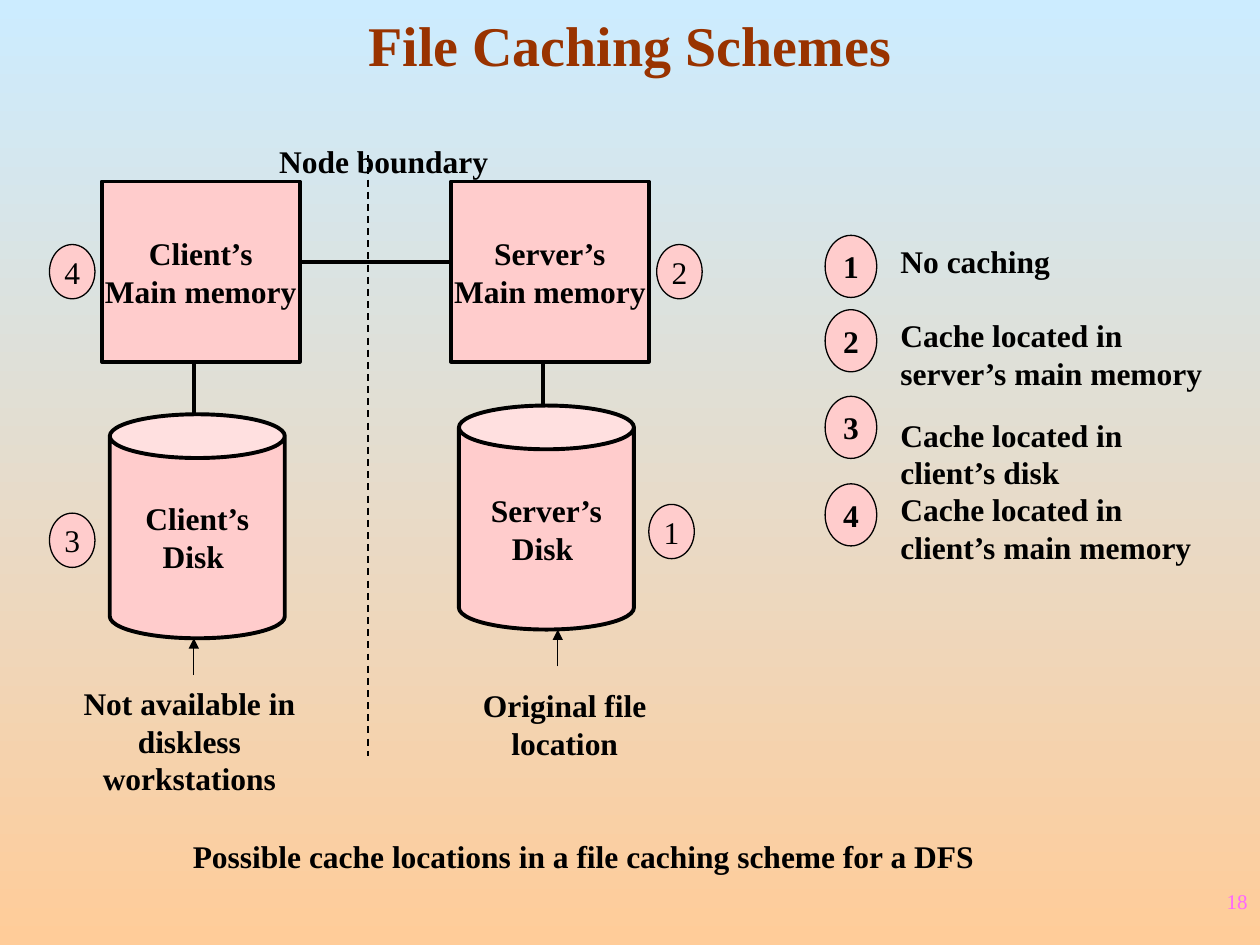
from dataclasses import dataclass

from lxml import etree
from pptx import Presentation
from pptx.dml.color import RGBColor
from pptx.enum import dml, shapes, text
from pptx.oxml import ns
from pptx.util import Pt


@dataclass(frozen=True)
class Theme:
    """Colours, type sizes and line widths of the slide."""
    font: str = "Times New Roman"
    sky: str = "CCECFF"
    sand: str = "FFCC99"
    title: str = "993300"
    number: str = "FF66FF"
    ink: str = "000000"
    pink: str = "FFCCCC"
    title_size: int = 32
    body_size: int = 18
    number_size: int = 12
    thick: float = 2.25
    medium: float = 1
    thin: float = 0.75


@dataclass(frozen=True)
class Node:
    """Labels and offsets of one computer, measured from its box."""
    owner: str
    disk_top: float
    arrow_x: float
    memory_badge: tuple
    disk_badge: tuple
    caption: str
    caption_box: tuple


THEME = Theme()
ALIGN = text.PP_ALIGN
CLIENT = Node("Client’s", 133, 52.5, ("4", -30), ("3", -30),
              "Not available in diskless workstations", (-34.5, 283.5, 169, 72))
SERVER = Node("Server’s", 128, 61, ("2", 117.5), ("1", 113),
              "Original file location", (-4.5, 285, 139, 50))
LEGEND = [("No caching", 0, 0), ("Cache located in server’s main memory", 42.5, 42.5),
          ("Cache located in client’s disk", 92, 99.5),
          ("Cache located in client’s main memory", 142, 142)]


def write(text_frame, words, size=THEME.body_size, color=THEME.ink, bold=True,
          align=ALIGN.CENTER):
    """Fill a text frame and format every run."""
    text_frame.text = words
    for paragraph in text_frame.paragraphs:
        paragraph.alignment = align
        for run in paragraph.runs:
            run.font.name = THEME.font
            run.font.size = Pt(size)
            run.font.bold = bold
            run.font.color.rgb = RGBColor.from_string(color)


def add_label(slide, box, words, **style):
    """Add a wrapping text box."""
    label = slide.shapes.add_textbox(*map(Pt, box))
    label.text_frame.word_wrap = True
    write(label.text_frame, words, **style)


def add_block(slide, kind, box, words, width, bold=True):
    """Add a pink outlined shape with centred text."""
    shape = slide.shapes.add_shape(kind, *map(Pt, box))
    shape.shadow.inherit = False
    shape.fill.solid()
    shape.fill.fore_color.rgb = RGBColor.from_string(THEME.pink)
    shape.line.color.rgb = RGBColor.from_string(THEME.ink)
    shape.line.width = Pt(width)
    shape.text_frame.word_wrap = False
    shape.text_frame.vertical_anchor = text.MSO_ANCHOR.MIDDLE
    write(shape.text_frame, words, bold=bold)


def add_line(slide, start, end, width, dashed=False, arrow=False):
    """Add a straight line, dashed or with an arrowhead at its end."""
    line = slide.shapes.add_connector(shapes.MSO_CONNECTOR.STRAIGHT, *map(Pt, start + end))
    line.line.color.rgb = RGBColor.from_string(THEME.ink)
    line.line.width = Pt(width)
    if dashed:
        line.line.dash_style = dml.MSO_LINE.DASH
    if arrow:
        outline = line.line._get_or_add_ln()
        etree.SubElement(outline, ns.qn("a:tailEnd"), type="triangle")
    etree.SubElement(line._element.spPr, ns.qn("a:effectLst"))


def draw_background(slide):
    """Fill the slide with the vertical gradient."""
    fill = slide.background.fill
    fill.gradient()
    fill.gradient_angle = 270
    for stop, color in zip(fill.gradient_stops, (THEME.sky, THEME.sand)):
        stop.color.rgb = RGBColor.from_string(color)


def draw_title(slide, box):
    """Move and format the title placeholder."""
    title = slide.shapes.title
    title.left, title.top, title.width, title.height = map(Pt, box)
    title.text_frame.vertical_anchor = text.MSO_ANCHOR.BOTTOM
    write(title.text_frame, "File Caching Schemes", THEME.title_size, THEME.title)


def draw_node(slide, box, node):
    """Draw one computer's memory, disk, badges and caption."""
    left, top, width, height = box
    disk_top, disk_height = top + node.disk_top, 128
    disk_bottom = disk_top + disk_height
    add_block(slide, shapes.MSO_SHAPE.RECTANGLE, box,
              f"{node.owner}\nMain memory", THEME.thick)
    add_block(slide, shapes.MSO_SHAPE.CAN, (left + 4.5, disk_top, 100, disk_height),
              f"{node.owner}\nDisk ", THEME.thick)
    link_x, arrow_x = left + 52.5, left + node.arrow_x
    add_line(slide, (link_x, top + height), (link_x, disk_top), THEME.thick)
    add_line(slide, (arrow_x, disk_bottom + 21), (arrow_x, disk_bottom),
             THEME.thin, arrow=True)
    badges = ((node.memory_badge, top + 36), (node.disk_badge, disk_top + 56.5))
    for (number, offset), badge_top in badges:
        add_block(slide, shapes.MSO_SHAPE.OVAL, (left + offset, badge_top, 26, 31),
                  number, THEME.thin, bold=False)
    x, y, caption_width, caption_height = node.caption_box
    add_label(slide, (left + x, top + y, caption_width, caption_height), node.caption)


def draw_diagram(slide, box):
    """Draw both nodes, the link between them and the node boundary."""
    left, top, width, height = box
    node_width, node_height, node_top = 113, 103, top + 26
    server_left = left + width - node_width
    draw_node(slide, (left, node_top, node_width, node_height), CLIENT)
    draw_node(slide, (server_left, node_top, node_width, node_height), SERVER)
    link_y, boundary_x = node_top + 46, left + 152
    add_line(slide, (left + node_width, link_y), (server_left, link_y), THEME.thick)
    add_line(slide, (boundary_x, top + 11), (boundary_x, top + height),
             THEME.medium, dashed=True)
    add_label(slide, (left + 91.5, top, 139, 29), "Node boundary")


def draw_legend(slide, box):
    """List the numbered cache locations."""
    left, top, width, height = box
    for number, (words, badge_y, words_y) in enumerate(LEGEND, 1):
        add_block(slide, shapes.MSO_SHAPE.OVAL, (left, top + badge_y, 29.5, 35.5),
                  str(number), THEME.thin)
        add_label(slide, (left + 36, top + words_y, width - 36, height - 142),
                  words, align=ALIGN.LEFT)


def main():
    """Build and save the slide."""
    presentation = Presentation()
    presentation.slide_width, presentation.slide_height = Pt(720), Pt(540)
    slide = presentation.slides.add_slide(presentation.slide_layouts[5])
    draw_background(slide)
    draw_title(slide, (0, 0, 720, 48))
    draw_diagram(slide, (58.25, 77.75, 312.5, 354.25))
    draw_legend(slide, (471.5, 134.5, 225, 192))
    add_label(slide, (18, 474.5, 631, 29),
              "Possible cache locations in a file caching scheme for a DFS")
    add_label(slide, (690, 504, 30, 22), "18", size=THEME.number_size,
              color=THEME.number, bold=False, align=ALIGN.RIGHT)
    presentation.save("out.pptx")


if __name__ == "__main__":
    main()
